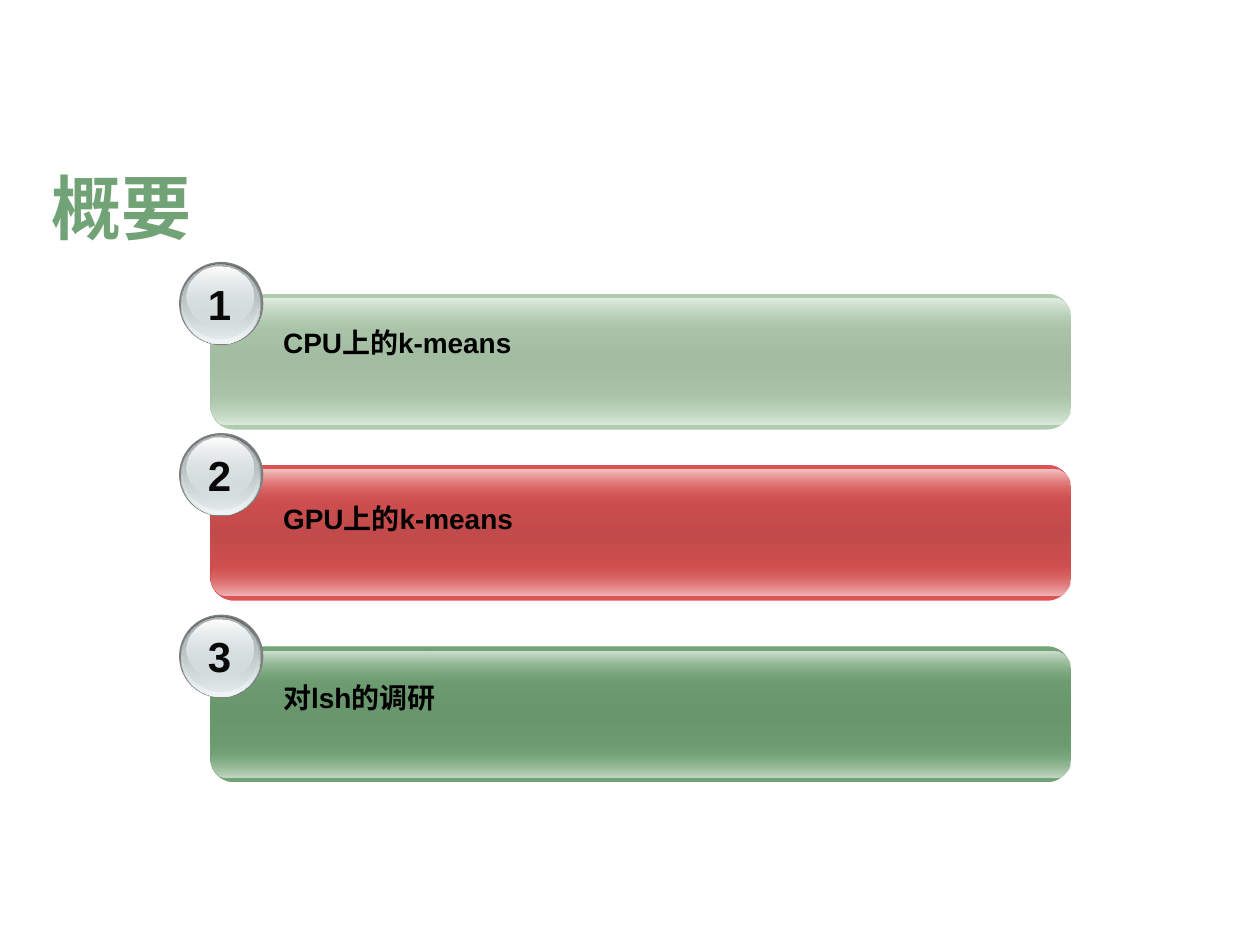
from lxml.etree import SubElement
from pptx import Presentation
from pptx.dml.color import RGBColor
from pptx.enum.shapes import MSO_SHAPE as Shape
from pptx.enum.text import MSO_ANCHOR as Anchor, PP_ALIGN as Align
from pptx.oxml.ns import qn
from pptx.util import Cm, Pt

COLORS = {
    "title": "72A376", "label": "000000", "number": "080808",
    "rim": "808080", "steel": "636869", "silver": "D6E1E2",
    "pearl": "F1F5F5", "grey": "AAB2B3", "white": "FFFFFF",
}
# edge, middle, top gloss and bottom gloss of each bar
BAR_COLORS = {
    "sage": ("B0CCB0", "A2BCA2", "E5EEE5", "DEEADE"),
    "red": ("DB5353", "C34A4A", "F3C6C6", "F0B8B8"),
    "green": ("72A376", "69966D", "D0E0D1", "C5D9C7"),
}
# bar top, label top, bar colour, label (cm)
TOPICS = [
    (5.92, 6.43, "sage", "CPU上的k-means"),
    (9.37, 9.98, "red", "GPU上的k-means"),
    (13.03, 13.59, "green", "对lsh的调研"),
]
BAR_LEFT, BAR_WIDTH, BAR_HEIGHT = 4.24, 17.35, 2.74


def fill_down(shape, stops):
    """Fill from top to bottom with (position %, hex, opacity %) stops."""
    shape.fill.gradient()
    shape.fill.gradient_angle = 270
    stop_list = shape._element.spPr.find(qn("a:gradFill")).find(qn("a:gsLst"))
    for stop in list(stop_list):
        stop_list.remove(stop)
    for position, color, opacity in stops:
        stop = SubElement(stop_list, qn("a:gs"), pos=str(position * 1000))
        rgb = SubElement(stop, qn("a:srgbClr"), val=color)
        if opacity < 100:
            SubElement(rgb, qn("a:alpha"), val=str(opacity * 1000))


def add_layer(group, kind, left, top, width, height, stops):
    layer = group.shapes.add_shape(kind, Cm(left), Cm(top), Cm(width), Cm(height))
    layer.shadow.inherit = False
    layer.line.fill.background()
    if len(stops) == 1:
        layer.fill.solid()
        layer.fill.fore_color.rgb = RGBColor.from_string(stops[0][1])
    else:
        fill_down(layer, stops)
    return layer


def add_text(slide, text, left, top, width, height, size, color,
             align=Align.LEFT, anchor=Anchor.TOP):
    box = slide.shapes.add_textbox(Cm(left), Cm(top), Cm(width), Cm(height))
    frame = box.text_frame
    frame.word_wrap = True
    frame.vertical_anchor = anchor
    frame.text = text
    paragraph = frame.paragraphs[0]
    paragraph.alignment = align
    font = paragraph.font
    font.name, font.size, font.bold = "Arial", Pt(size), True
    font.color.rgb = RGBColor.from_string(COLORS[color])


def add_bar(slide, left, top, width, height, colors):
    edge, middle, top_gloss, bottom_gloss = colors
    group = slide.shapes.add_group_shape()
    body = add_layer(group, Shape.ROUNDED_RECTANGLE, left, top, width, height,
                     [(0, edge, 100), (50, middle, 100), (100, edge, 100)])
    body.adjustments[0] = 0.175
    glosses = [
        (height - 0.76, [(0, edge, 0), (100, bottom_gloss, 100)]),
        (0.1, [(0, top_gloss, 100), (100, edge, 0)]),
    ]
    for offset, stops in glosses:
        gloss = add_layer(group, Shape.ROUNDED_RECTANGLE, left + 0.03,
                          top + offset, width - 0.05, 0.66, stops)
        gloss.adjustments[0] = 0.5


def add_badge(slide, left, top, number):
    silver = COLORS["silver"]
    discs = [
        (0, 0, 1.7, 1.68, [(0, COLORS["rim"], 100)]),
        (0.03, 0.03, 1.63, 1.63, [(0, COLORS["steel"], 100), (100, silver, 100)]),
        (0.05, 0.05, 1.57, 1.6, [(0, silver, 0), (100, COLORS["pearl"], 100)]),
        (0.08, 0.05, 1.5, 1.5, [(0, COLORS["grey"], 100), (100, silver, 48)]),
        (0.15, 0.1, 1.35, 1.19, [(0, COLORS["white"], 100), (100, silver, 38)]),
    ]
    group = slide.shapes.add_group_shape()
    for dx, dy, width, height, stops in discs:
        add_layer(group, Shape.OVAL, left + dx, top + dy, width, height, stops)
    add_text(slide, str(number), left + 0.28, top + 0.2, 1.07, 1.27, 24,
             "number", Align.CENTER)


def main():
    prs = Presentation()
    prs.slide_width, prs.slide_height = Cm(25.4), Cm(19.05)
    slide = prs.slides.add_slide(prs.slide_layouts[6])
    add_text(slide, "概要", 0.79, 2.97, 23.34, 2.39, 40, "title",
             anchor=Anchor.MIDDLE)
    for number, (top, label_top, color, label) in enumerate(TOPICS, 1):
        add_bar(slide, BAR_LEFT, top, BAR_WIDTH, BAR_HEIGHT, BAR_COLORS[color])
        add_badge(slide, BAR_LEFT - 0.63, top - 0.64, number)
        add_text(slide, label, BAR_LEFT + 1.22, label_top, 15.67, 0.94, 16, "label")
    prs.save("out.pptx")


if __name__ == "__main__":
    main()
